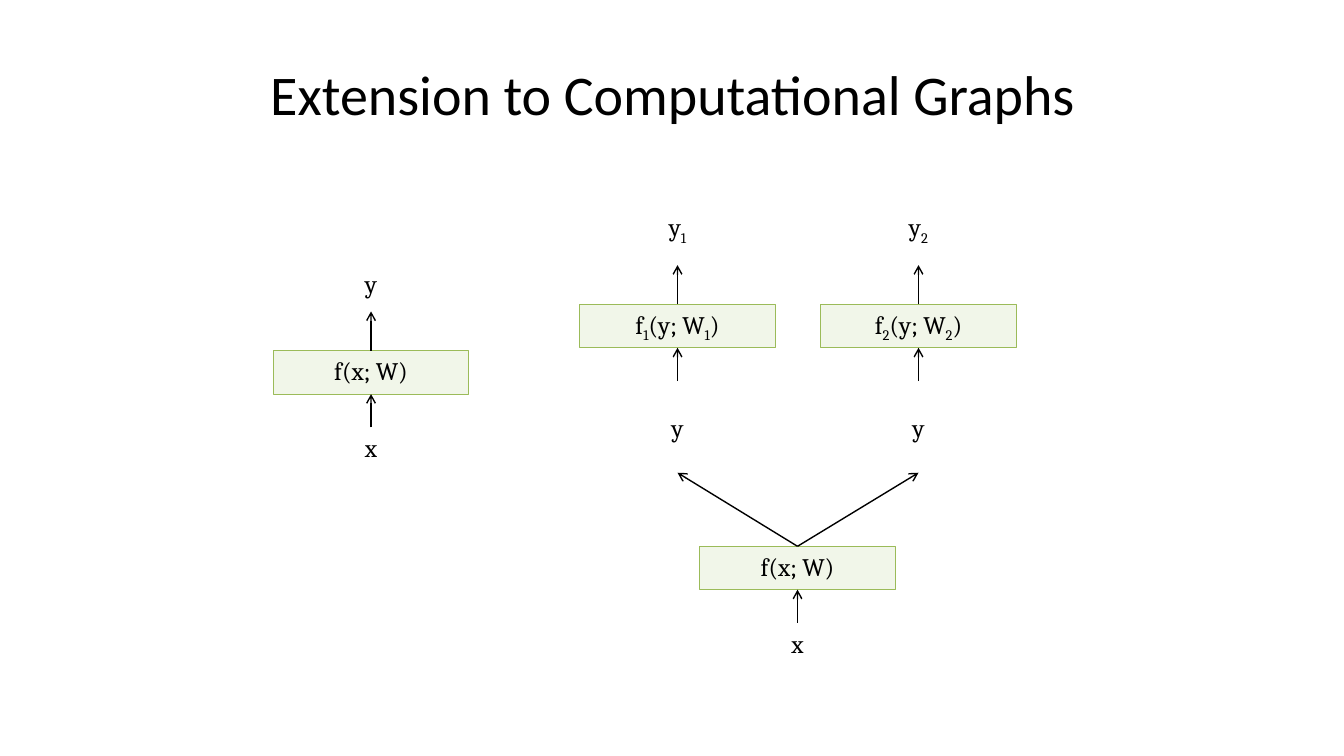
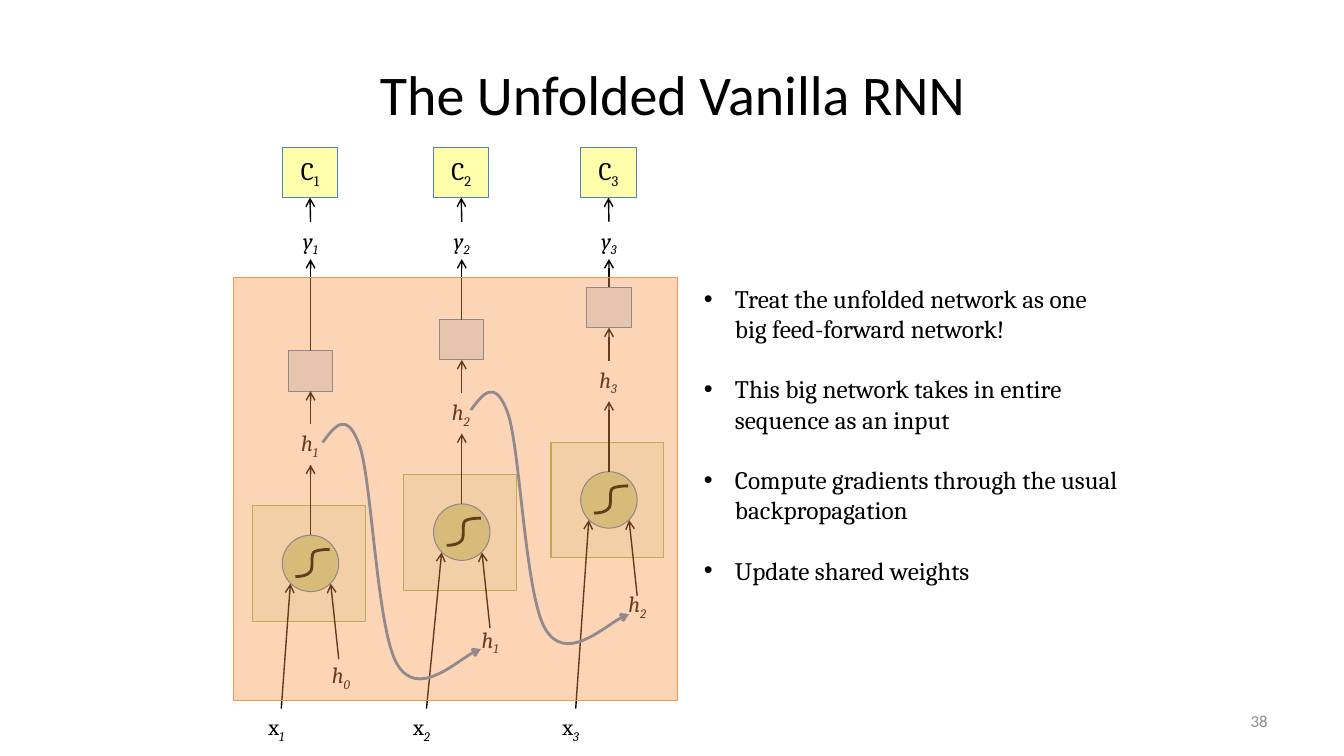
from dataclasses import dataclass
from typing import NamedTuple, Optional

import lxml.etree
import pptx
import pptx.dml.color
import pptx.enum.shapes
import pptx.enum.text
import pptx.oxml.ns
import pptx.shapes.autoshape
import pptx.slide
import pptx.text.text
import pptx.util

Inches = pptx.util.Inches
Pt = pptx.util.Pt
qn = pptx.oxml.ns.qn
Shape = pptx.shapes.autoshape.Shape
Slide = pptx.slide.Slide
ShapeKind = pptx.enum.shapes.MSO_SHAPE
Align = pptx.enum.text.PP_ALIGN
Anchor = pptx.enum.text.MSO_ANCHOR
Point = tuple[float, float]


@dataclass(frozen=True)
class Theme:
    heading_font: str = "Calibri"
    body_font: str = "Cambria"
    black: str = "000000"
    gray: str = "8C8C8C"
    blue: str = "4F81BD"
    title_size: int = 40
    body_size: int = 18
    label_size: int = 16
    number_size: int = 12
    thin: float = 0.75
    arrow: float = 1
    curve: float = 2


class BoxStyle(NamedTuple):
    fill: str
    line: str
    opacity: int = 100


class Block(NamedTuple):
    center: float
    top: float
    text: str
    targets: list[Point]


class Label(NamedTuple):
    center: float
    top: float
    text: str
    width: float = 0.63
    height: float = 0.4


class Step(NamedTuple):
    center: float
    lift: float
    input_x: float
    state_x: float


class Curve(NamedTuple):
    width: float
    height: float
    points: list[Point]


class Link(NamedTuple):
    left: float
    top: float
    height: float


THEME = Theme()
GREEN = BoxStyle("D7E4BD", "9BBB59", 33)
CIRCLE = BoxStyle("C3D69B", "4B7EBC")
OUTPUT = BoxStyle("95B3D7", THEME.blue, 33)
COST = BoxStyle("FFFF00", THEME.blue, 33)
PANEL = BoxStyle("F79646", "F79646", 40)

BLOCKS = [
    Block(3.68, 3.48, "f(x; W)", [(3.68, 3.09)]),
    Block(6.72, 3.02, "f_1(y; W_1)", [(6.72, 2.63)]),
    Block(9.11, 3.02, "f_2(y; W_2)", [(9.11, 2.63)]),
    Block(7.91, 5.42, "f(x; W)", [(6.72, 4.69), (9.11, 4.69)]),
]
GRAPH_LABELS = [
    Label(3.68, 4.24, "x"),
    Label(3.68, 2.61, "y"),
    Label(7.91, 6.18, "x"),
    Label(6.72, 4.04, "y"),
    Label(9.11, 4.04, "y"),
    Label(9.11, 2.05, "y_2"),
    Label(6.72, 2.05, "y_1"),
]
STEPS = [
    Step(3.08, 0, 2.79, 3.38),
    Step(4.58, 0.31, 4.23, 4.86),
    Step(6.04, 0.63, 5.71, 6.32),
]
LINKS = [Link(3.2, 4.21, 2.5), Link(4.67, 3.89, 2.47)]
SIGMOID = Curve(0.34, 0.28, [
    (0, 0.27), (0.06, 0.27), (0.12, 0.26), (0.15, 0.22), (0.18, 0.18),
    (0.15, 0.07), (0.18, 0.03), (0.21, 0), (0.34, 0), (0.34, 0)])
STATE_CURVE = Curve(1.56, 2.5, [
    (0, 0.18), (0.12, 0.02), (0.24, -0.15), (0.37, 0.22), (0.49, 0.58),
    (0.54, 2.05), (0.74, 2.38), (0.94, 2.72), (1.43, 2.26), (1.57, 2.23)])
BULLETS = [
    "Treat the unfolded network as one big feed-forward network!",
    "This big network takes in entire sequence as an input",
    "Compute gradients through the usual backpropagation",
    "Update shared weights",
]


def rgb(color: str) -> pptx.dml.color.RGBColor:
    return pptx.dml.color.RGBColor.from_string(color)


def format_paragraph(paragraph: pptx.text.text._Paragraph, size: float, font: str = THEME.body_font,
                     color: str = THEME.black, align: Align = Align.CENTER) -> None:
    paragraph.alignment = align
    paragraph.font.name = font
    paragraph.font.size = Pt(size)
    paragraph.font.color.rgb = rgb(color)


def write_math(paragraph: pptx.text.text._Paragraph, text: str, size: float,
               italic: bool = False, italic_subscript: bool = False) -> None:
    format_paragraph(paragraph, size)
    first, *others = text.split("_")
    pieces = [(first, False)]
    for part in others:
        pieces += [(part[0], True), (part[1:], False)]
    for piece, subscript in pieces:
        if piece:
            run = paragraph.add_run()
            run.text = piece
            run.font.italic = italic_subscript if subscript else italic
            properties = run._r.get_or_add_rPr()
            properties.set("kern", "1200")
            if subscript:
                properties.set("baseline", "-25000")


def add_label(slide: Slide, label: Label, size: float = THEME.body_size,
              italic: bool = False, italic_subscript: bool = False) -> None:
    shape = slide.shapes.add_textbox(
        Inches(label.center - label.width / 2), Inches(label.top),
        Inches(label.width), Inches(label.height))
    shape.text_frame.word_wrap = label.width > 0.5
    write_math(shape.text_frame.paragraphs[0], label.text, size, italic, italic_subscript)


def add_box(slide: Slide, left: float, top: float, width: float, height: float,
            style: BoxStyle, text: str = "", kind: ShapeKind = ShapeKind.RECTANGLE,
            anchor: Anchor = Anchor.TOP) -> Shape:
    shape = slide.shapes.add_shape(kind, Inches(left), Inches(top), Inches(width), Inches(height))
    shape.shadow.inherit = False
    shape.fill.solid()
    shape.fill.fore_color.rgb = rgb(style.fill)
    if style.opacity < 100:
        color = shape._element.spPr.find(qn("a:solidFill"))[0]
        lxml.etree.SubElement(color, qn("a:alpha")).set("val", str(style.opacity * 1000))
    shape.line.color.rgb = rgb(style.line)
    shape.line.width = Pt(THEME.thin)
    if text:
        shape.text_frame.vertical_anchor = anchor
        write_math(shape.text_frame.paragraphs[0], text, THEME.body_size)
    return shape


def add_arrowhead(shape) -> None:
    tail = lxml.etree.SubElement(shape.line._get_or_add_ln(), qn("a:tailEnd"))
    tail.set("type", "arrow")


def add_arrow(slide: Slide, start: Point, end: Point,
              source: Optional[Shape] = None, target: Optional[Shape] = None) -> None:
    connector = slide.shapes.add_connector(
        pptx.enum.shapes.MSO_CONNECTOR.STRAIGHT, *map(Inches, (*start, *end)))
    if source is not None:
        connector.begin_connect(source, 0)
    if target is not None:
        connector.end_connect(target, 2)
    connector.line.color.rgb = rgb(THEME.black)
    connector.line.width = Pt(THEME.arrow)
    add_arrowhead(connector)
    lxml.etree.SubElement(connector._element.spPr, qn("a:effectLst"))


def add_curve(slide: Slide, left: float, top: float, curve: Curve, color: str) -> Shape:
    builder = slide.shapes.build_freeform(Inches(left), Inches(top))
    builder.add_line_segments(
        [(Inches(left + curve.width), Inches(top + curve.height))], close=False)
    shape = builder.convert_to_shape()
    outline = next(shape._element.iter(qn("a:path")))
    for segment in list(outline):
        outline.remove(segment)
    for index, (x, y) in enumerate(curve.points):
        if index == 0:
            segment = lxml.etree.SubElement(outline, qn("a:moveTo"))
        elif index % 3 == 1:
            segment = lxml.etree.SubElement(outline, qn("a:cubicBezTo"))
        point = lxml.etree.SubElement(segment, qn("a:pt"))
        point.set("x", str(Inches(x)))
        point.set("y", str(Inches(y)))
    shape.shadow.inherit = False
    shape.fill.background()
    shape.line.color.rgb = rgb(color)
    shape.line.width = Pt(THEME.curve)
    return shape


def place(shape, left: float, top: float, width: float, height: float) -> None:
    shape.left, shape.top, shape.width, shape.height = map(Inches, (left, top, width, height))


def add_titled_slide(presentation, layout: int, text: str) -> Slide:
    slide = presentation.slides.add_slide(presentation.slide_layouts[layout])
    title = slide.shapes.title
    place(title, 0.67, 0.3, 12, 1.25)
    title.text_frame.text = text
    title.text_frame.vertical_anchor = Anchor.MIDDLE
    format_paragraph(title.text_frame.paragraphs[0], THEME.title_size, THEME.heading_font)
    return slide


def add_slide_number(slide: Slide, number: str) -> None:
    shape = slide.shapes.add_textbox(Inches(9.56), Inches(6.95), Inches(3.11), Inches(0.4))
    shape.text_frame.word_wrap = True
    shape.text_frame.vertical_anchor = Anchor.MIDDLE
    paragraph = shape.text_frame.paragraphs[0]
    paragraph.text = number
    format_paragraph(paragraph, THEME.number_size, THEME.heading_font, THEME.gray, Align.RIGHT)


def fill_bullets(slide: Slide) -> None:
    body = slide.placeholders[1]
    place(body, 6.88, 2.76, 4.35, 3.13)
    frame = body.text_frame
    frame.text = "\n".join(BULLETS)
    frame.auto_size = pptx.enum.text.MSO_AUTO_SIZE.NONE
    frame.vertical_anchor = Anchor.TOP
    for paragraph in frame.paragraphs:
        format_paragraph(paragraph, THEME.body_size, align=Align.LEFT)
        paragraph.space_before = Pt(0)
        paragraph.space_after = Pt(21.5)
        properties = paragraph._p.get_or_add_pPr()
        properties.set("marL", str(Inches(0.31)))
        properties.set("indent", str(Inches(-0.31)))


def add_block(slide: Slide, block: Block) -> None:
    width, height = 1.94, 0.43
    box = add_box(slide, block.center - width / 2, block.top, width, height, GREEN, block.text)
    bottom = block.top + height
    add_arrow(slide, (block.center, bottom + 0.33), (block.center, bottom), target=box)
    for target in block.targets:
        add_arrow(slide, (block.center, block.top), target, source=box)


def add_step(slide: Slide, index: int, step: Step) -> None:
    center, lift = step.center, step.lift
    number = index + 1
    cell = add_box(slide, center - 0.59, 5.03 - lift, 1.15, 1.12, GREEN)
    cell.rotation = 270
    circle = add_box(slide, center - 0.28, 5.31 - lift, 0.56, 0.56, CIRCLE, kind=ShapeKind.OVAL)
    add_curve(slide, center - 0.15, 5.45 - lift, SIGMOID, THEME.black)
    output = add_box(slide, center - 0.22, 3.48 - lift, 0.44, 0.4, OUTPUT)
    cost = add_box(slide, center - 0.28, 1.46, 0.55, 0.5, COST, f"C_{number}",
                   anchor=Anchor.MIDDLE)

    add_arrow(slide, (step.input_x, 7.03), (center - 0.2, 5.79 - lift))
    add_arrow(slide, (center + 0.28, 6.54 - lift), (center + 0.2, 5.79 - lift))
    add_arrow(slide, (center, 5.31 - lift), (center, 4.61 - lift), source=circle)
    add_arrow(slide, (center, 4.21 - lift), (center, 3.88 - lift), target=output)
    add_arrow(slide, (center, 3.48 - lift), (center, 2.57), source=output)
    add_arrow(slide, (center, 2.2), (center, 1.96), target=cost)

    for label in (
        Label(center - 0.01, 4.21 - lift, f"h_{number}", 0.39, 0.37),
        Label(center, 2.2, f"y_{number}", 0.38, 0.37),
        Label(step.state_x, 6.51 - 0.35 * index, f"h_{index}", 1.12, 0.55),
    ):
        add_label(slide, label, THEME.label_size, italic=True, italic_subscript=True)
    add_label(slide, Label(step.input_x - 0.05, 7.03, f"x_{number}", 0.58, 0.55),
              THEME.label_size, italic_subscript=True)


def main() -> None:
    presentation = pptx.Presentation()
    presentation.slide_width = Inches(13.33)
    presentation.slide_height = Inches(7.5)

    graph_slide = add_titled_slide(presentation, 5, "Extension to Computational Graphs")
    for block in BLOCKS:
        add_block(graph_slide, block)
    for label in GRAPH_LABELS:
        add_label(graph_slide, label)

    network_slide = add_titled_slide(presentation, 1, "The Unfolded Vanilla RNN")
    add_slide_number(network_slide, "38")
    for index, step in enumerate(STEPS):
        add_step(network_slide, index, step)
    for link in LINKS:
        curve = add_curve(network_slide, link.left, link.top, STATE_CURVE, THEME.blue)
        curve.height = Inches(link.height)
        add_arrowhead(curve)
    add_box(network_slide, 2.32, 2.75, 4.4, 4.2, PANEL)
    fill_bullets(network_slide)
    presentation.save("out.pptx")


if __name__ == "__main__":
    main()
